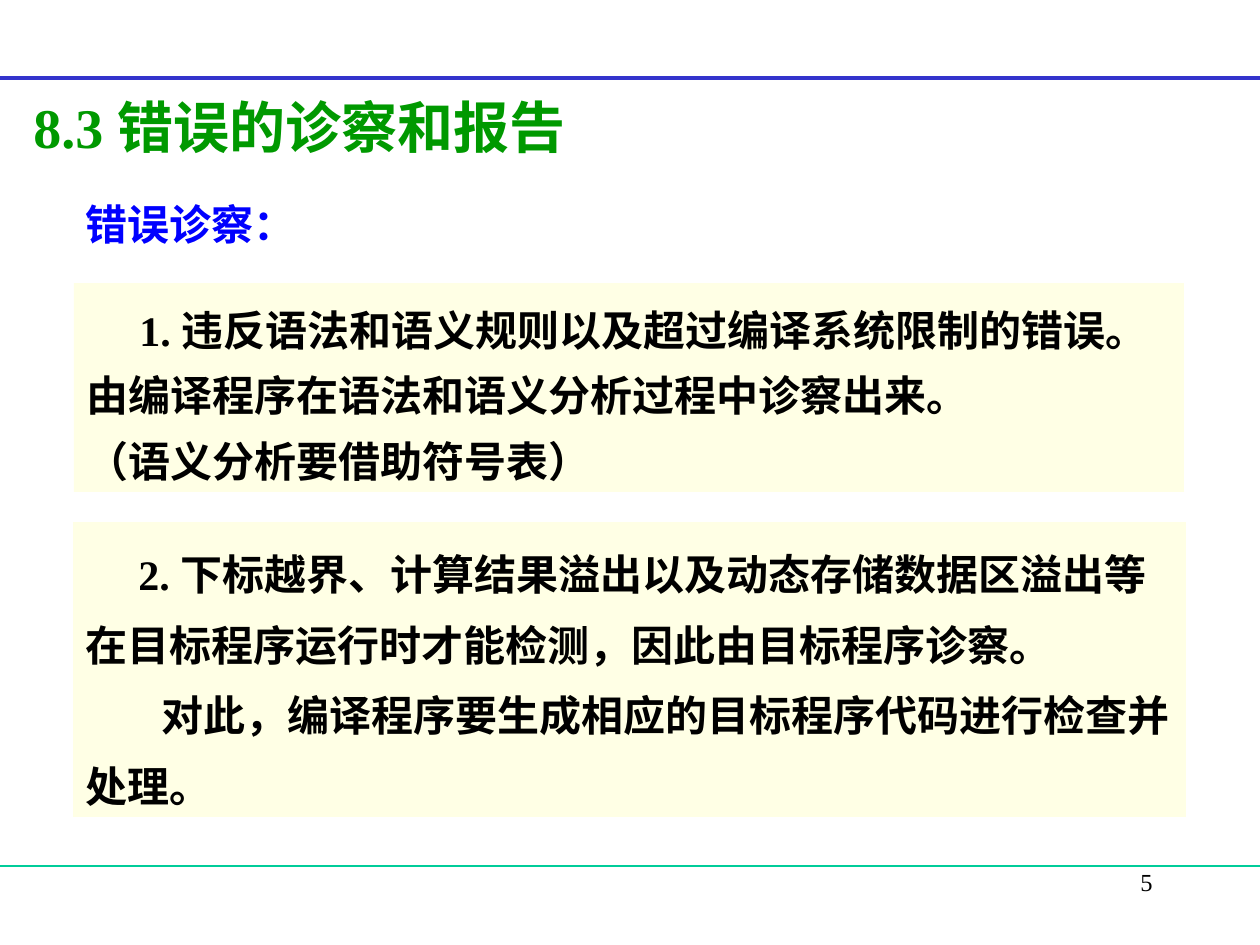
from lxml import etree
from pptx import Presentation
from pptx import util as u
from pptx.dml.color import RGBColor
from pptx.enum import shapes, text
from pptx.oxml.ns import qn

COLORS = {"rule": "3333CC", "footer": "00CC99", "title": "009900",
          "heading": "0000FF", "panel": "FFFFCC", "body": "000000"}
FONT = "Times New Roman"


def px(n):
    return u.Emu(round(n * 914400 / 126))


def write(shape, lines, size, color, bold=True, anchor=text.MSO_ANCHOR.MIDDLE,
          align=text.PP_ALIGN.LEFT, spacing=None, before=None, grow=True):
    """Fill a shape with (first-line indent, wording) paragraphs."""
    frame = shape.text_frame
    frame.word_wrap = True
    frame.vertical_anchor = anchor
    if grow:
        frame.auto_size = text.MSO_AUTO_SIZE.SHAPE_TO_FIT_TEXT
    for i, (indent, words) in enumerate(lines):
        para = frame.add_paragraph() if i else frame.paragraphs[0]
        para.alignment = align
        para.line_spacing = spacing
        para.space_before = before
        if indent:
            para._p.get_or_add_pPr().set("indent", str(px(indent)))
        run = para.add_run()
        run.text = words
        run.font.name = FONT
        run.font.size = u.Pt(size)
        run.font.bold = bold
        run.font.color.rgb = RGBColor.from_string(COLORS[color])


prs = Presentation()
prs.slide_width, prs.slide_height = px(1260), px(945)
slide = prs.slides.add_slide(prs.slide_layouts[6])

# Header and footer rules
for y, color, width in [(78, "rule", 2.25), (866, "footer", 0.75)]:
    rule = slide.shapes.add_connector(
        shapes.MSO_CONNECTOR.STRAIGHT, 0, px(y), px(1260), px(y))
    rule.line.color.rgb = RGBColor.from_string(COLORS[color])
    rule.line.width = u.Pt(width)
    etree.SubElement(rule._element.spPr, qn("a:effectLst"))

# Page number
page_number = slide.shapes.add_textbox(px(903), px(861), px(262), px(63))
write(page_number, [(0, "5")], 14, "body", bold=False, grow=False,
      anchor=text.MSO_ANCHOR.TOP, align=text.PP_ALIGN.RIGHT)

# Title and heading
title = slide.shapes.add_textbox(px(21), px(86), px(777), px(81))
write(title, [(0, "8.3 错误的诊察和报告")], 32, "title",
      anchor=text.MSO_ANCHOR.TOP, before=u.Pt(20))
heading = slide.shapes.add_textbox(px(73), px(192), px(242), px(63))
write(heading, [(0, "错误诊察：")], 24, "heading")

# Panels for the two kinds of error
panels = [
    (74, 283, 1110, 209, 1.3, [
        (53, "1. 违反语法和语义规则以及超过编译系统限制的错误。"),
        (0, "由编译程序在语法和语义分析过程中诊察出来。"),
        (0, "（语义分析要借助符号表）")]),
    (73, 522, 1113, 295, 1.4, [
        (53, "2. 下标越界、计算结果溢出以及动态存储数据区溢出等"),
        (0, "在目标程序运行时才能检测，因此由目标程序诊察。"),
        (76, "对此，编译程序要生成相应的目标程序代码进行检查并处理。")]),
]
for left, top, width, height, spacing, lines in panels:
    panel = slide.shapes.add_shape(shapes.MSO_SHAPE.RECTANGLE,
                                   px(left), px(top), px(width), px(height))
    panel.shadow.inherit = False
    panel.line.fill.background()
    panel.fill.solid()
    panel.fill.fore_color.rgb = RGBColor.from_string(COLORS["panel"])
    tint = panel._element.spPr.find(qn("a:solidFill"))[0]
    etree.SubElement(tint, qn("a:alpha"), val="50000")
    write(panel, lines, 24, "body", spacing=spacing)

prs.save("out.pptx")
